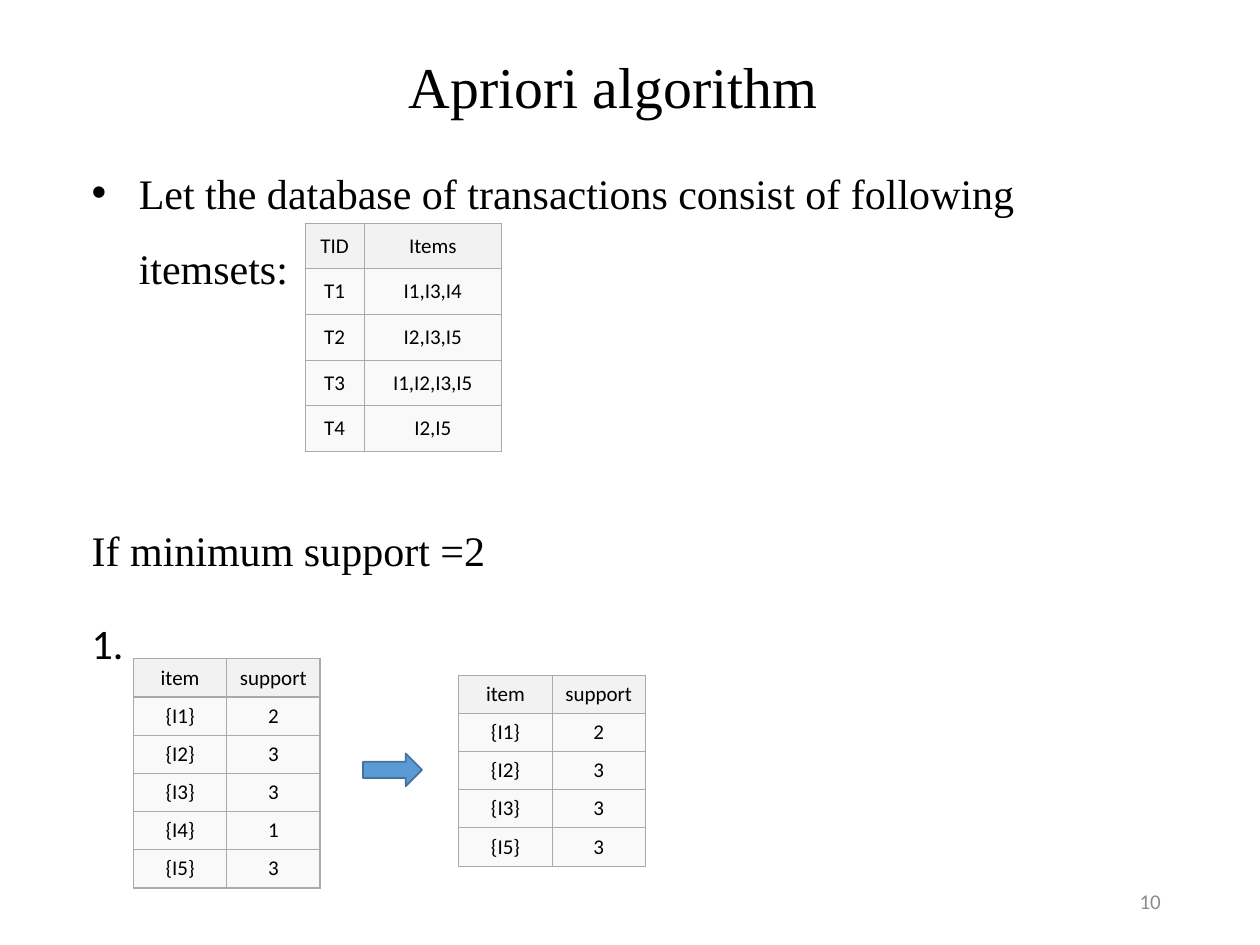
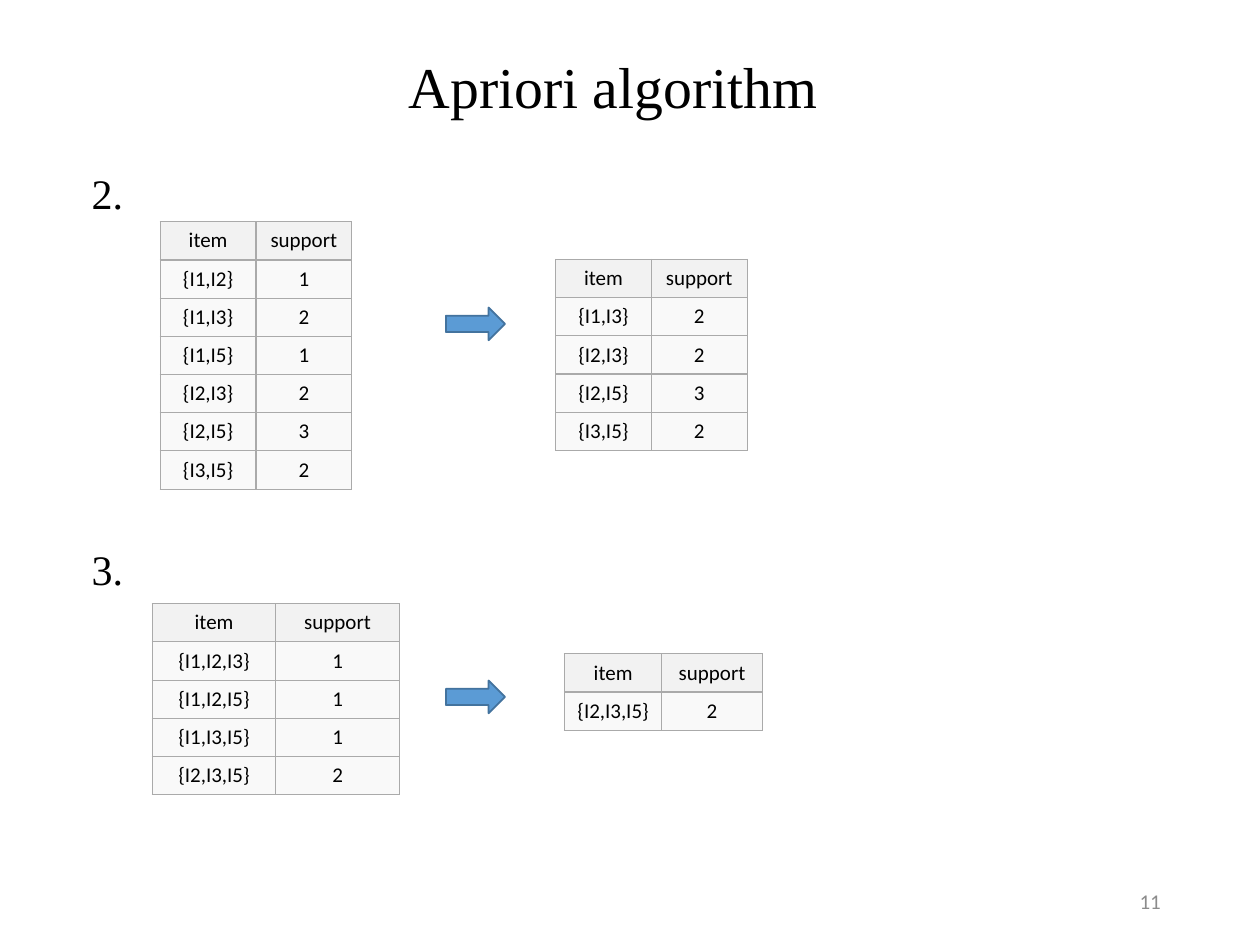
from dataclasses import dataclass

import pptx
import pptx.dml.color
import pptx.enum.shapes
import pptx.enum.text
import pptx.oxml
import pptx.oxml.ns
import pptx.presentation
import pptx.shapes.autoshape
import pptx.slide
import pptx.text.text
import pptx.util

Cm = pptx.util.Cm
Pt = pptx.util.Pt
RGBColor = pptx.dml.color.RGBColor
ALIGN = pptx.enum.text.PP_ALIGN
ANCHOR = pptx.enum.text.MSO_ANCHOR

# Shared style
BLACK = RGBColor(0x00, 0x00, 0x00)
GREY = RGBColor(0x8C, 0x8C, 0x8C)
HEADER_FILL = RGBColor(0xF2, 0xF2, 0xF2)
ROW_FILL = RGBColor(0xF9, 0xF9, 0xF9)
BORDER = RGBColor(0xAA, 0xAA, 0xAA)
ARROW_FILL = RGBColor(0x5B, 0x9B, 0xD5)
ARROW_LINE = RGBColor(0x43, 0x73, 0x9E)
SERIF = "Times New Roman"
SANS = "Calibri"
TITLE = "Apriori algorithm"
MIN_SUPPORT = 2
ROW_HEIGHT = 0.77
PARAGRAPH_GAP = 10
BODY_LINE_PITCH = 53.9  # points from one body line to the next

Row = tuple[str, ...]


@dataclass
class Box:
    left: float
    top: float
    width: float
    height: float

    def lengths(self) -> tuple[int, int, int, int]:
        return Cm(self.left), Cm(self.top), Cm(self.width), Cm(self.height)


@dataclass
class Line:
    text: str
    skipped_lines: int = 0
    font: str = SERIF
    bullet: bool = False


@dataclass
class Grid:
    left: float
    top: float
    col_widths: tuple[float, float]
    row_height: float = ROW_HEIGHT


@dataclass
class Step:
    """Candidate itemsets, an arrow, and the itemsets that are frequent."""
    supports: dict[str, int]
    candidates: Grid
    arrow: tuple[float, float]
    frequent: Grid


@dataclass
class Page:
    number: int
    lines: list[Line]
    steps: list[Step]


TITLE_BOX = Box(5.16, 0.69, 14.4, 1.88)
BODY_BOX = Box(1.6, 2.74, 21.54, 15.49)
NUMBER_BOX = Box(17.93, 17.65, 5.72, 1.02)
ARROW_SIZE = (1.19, 0.66)

# Content
TRANSACTIONS_GRID = Grid(6.15, 4.5, (1.19, 2.77), 0.92)
TRANSACTIONS: list[Row] = [
    ("TID", "Items"),
    ("T1", "I1,I3,I4"),
    ("T2", "I2,I3,I5"),
    ("T3", "I1,I2,I3,I5"),
    ("T4", "I2,I5"),
]
SINGLES = Step(
    {"{I1}": 2, "{I2}": 3, "{I3}": 3, "{I4}": 1, "{I5}": 3},
    Grid(2.69, 13.28, (1.88, 1.88)), (7.32, 15.19),
    Grid(9.25, 13.61, (1.88, 1.88)))
PAIRS = Step(
    {"{I1,I2}": 1, "{I1,I3}": 2, "{I1,I5}": 1,
     "{I2,I3}": 2, "{I2,I5}": 3, "{I3,I5}": 2},
    Grid(3.23, 4.47, (1.93, 1.93)), (8.99, 6.2),
    Grid(11.2, 5.23, (1.93, 1.93)))
TRIPLES = Step(
    {"{I1,I2,I3}": 1, "{I1,I2,I5}": 1, "{I1,I3,I5}": 1, "{I2,I3,I5}": 2},
    Grid(3.07, 12.17, (2.49, 2.49)), (8.99, 13.72),
    Grid(11.38, 13.18, (1.96, 2.03)))
PAGES = [
    Page(10, [
        Line("Let the database of transactions consist of following itemsets:",
             bullet=True),
        Line(f"If minimum support ={MIN_SUPPORT}", skipped_lines=2),
        Line("1.", font=SANS),
    ], [SINGLES]),
    Page(11, [Line("2."), Line("3.", skipped_lines=3)], [PAIRS, TRIPLES]),
]


def add_run(p: pptx.text.text._Paragraph, text: str, size: float,
            font: str, color: RGBColor = BLACK) -> None:
    r = p.add_run()
    r.text = text
    r.font.size = Pt(size)
    r.font.name = font
    r.font.color.rgb = color


def add_text_frame(s: pptx.slide.Slide, box: Box,
                   anchor: ANCHOR) -> pptx.text.text.TextFrame:
    tf = s.shapes.add_textbox(*box.lengths()).text_frame
    tf.word_wrap = True
    tf.vertical_anchor = anchor
    return tf


def add_bullet(p: pptx.text.text._Paragraph) -> None:
    pPr = p._p.get_or_add_pPr()
    pPr.set("marL", str(Cm(0.95)))
    pPr.set("indent", str(-Cm(0.95)))
    ns = pptx.oxml.ns.nsdecls("a")
    pPr.append(pptx.oxml.parse_xml(f'<a:buFont {ns} typeface="Arial"/>'))
    pPr.append(pptx.oxml.parse_xml(f'<a:buChar {ns} char="•"/>'))


def add_body(s: pptx.slide.Slide, lines: list[Line]) -> None:
    tf = add_text_frame(s, BODY_BOX, ANCHOR.TOP)
    for i, line in enumerate(lines):
        p = tf.add_paragraph() if i else tf.paragraphs[0]
        if line.bullet:
            add_bullet(p)
        p.line_spacing = 1.5
        if i:
            p.space_before = Pt(
                PARAGRAPH_GAP + line.skipped_lines * BODY_LINE_PITCH)
        add_run(p, line.text, 24, line.font)


def add_borders(cell: pptx.table._Cell) -> None:
    tcPr = cell._tc.get_or_add_tcPr()
    for side in ("lnL", "lnR", "lnT", "lnB"):
        tcPr.append(pptx.oxml.parse_xml(
            f'<a:{side} {pptx.oxml.ns.nsdecls("a")} w="{Pt(0.75)}">'
            f'<a:solidFill><a:srgbClr val="{BORDER}"/></a:solidFill>'
            f'</a:{side}>'))


def add_grid(s: pptx.slide.Slide, grid: Grid, rows: list[Row]) -> None:
    box = Box(grid.left, grid.top, sum(grid.col_widths),
              grid.row_height * len(rows))
    table = s.shapes.add_table(
        len(rows), len(grid.col_widths), *box.lengths()).table
    table.first_row = table.horz_banding = False
    for column, width in zip(table.columns, grid.col_widths):
        column.width = Cm(width)
    for i, row in enumerate(rows):
        table.rows[i].height = Cm(grid.row_height)
        for j, text in enumerate(row):
            cell = table.cell(i, j)
            cell.margin_left = cell.margin_right = Cm(0.1)
            cell.vertical_anchor = ANCHOR.MIDDLE
            add_borders(cell)
            cell.fill.solid()
            cell.fill.fore_color.rgb = ROW_FILL if i else HEADER_FILL
            p = cell.text_frame.paragraphs[0]
            p.alignment = ALIGN.CENTER
            add_run(p, text, 12, SANS)


def add_arrow(s: pptx.slide.Slide, left: float, top: float) -> None:
    sp = s.shapes.add_shape(pptx.enum.shapes.MSO_SHAPE.RIGHT_ARROW,
                            *Box(left, top, *ARROW_SIZE).lengths())
    sp.shadow.inherit = False
    sp.fill.solid()
    sp.fill.fore_color.rgb = ARROW_FILL
    sp.line.color.rgb = ARROW_LINE
    sp.line.width = Pt(1)


def support_rows(supports: dict[str, int], minimum: int = 0) -> list[Row]:
    return [("item", "support")] + [
        (item, str(n)) for item, n in supports.items() if n >= minimum]


def add_step(s: pptx.slide.Slide, step: Step) -> None:
    add_grid(s, step.candidates, support_rows(step.supports))
    add_arrow(s, *step.arrow)
    add_grid(s, step.frequent, support_rows(step.supports, MIN_SUPPORT))


def add_page(prs: pptx.presentation.Presentation,
             page: Page) -> pptx.slide.Slide:
    s = prs.slides.add_slide(prs.slide_layouts[6])
    # Title
    p = add_text_frame(s, TITLE_BOX, ANCHOR.BOTTOM).paragraphs[0]
    p.alignment = ALIGN.CENTER
    p.line_spacing = 0.9
    add_run(p, TITLE, 33, SERIF)
    # Body text and slide number
    add_body(s, page.lines)
    p = add_text_frame(s, NUMBER_BOX, ANCHOR.MIDDLE).paragraphs[0]
    p.alignment = ALIGN.RIGHT
    add_run(p, str(page.number), 12, SANS, GREY)
    # Algorithm steps
    for step in page.steps:
        add_step(s, step)
    return s


def main() -> None:
    prs = pptx.Presentation()
    prs.slide_width, prs.slide_height = Cm(25.4), Cm(19.05)
    slides = [add_page(prs, page) for page in PAGES]
    add_grid(slides[0], TRANSACTIONS_GRID, TRANSACTIONS)
    prs.save("out.pptx")


if __name__ == "__main__":
    main()
